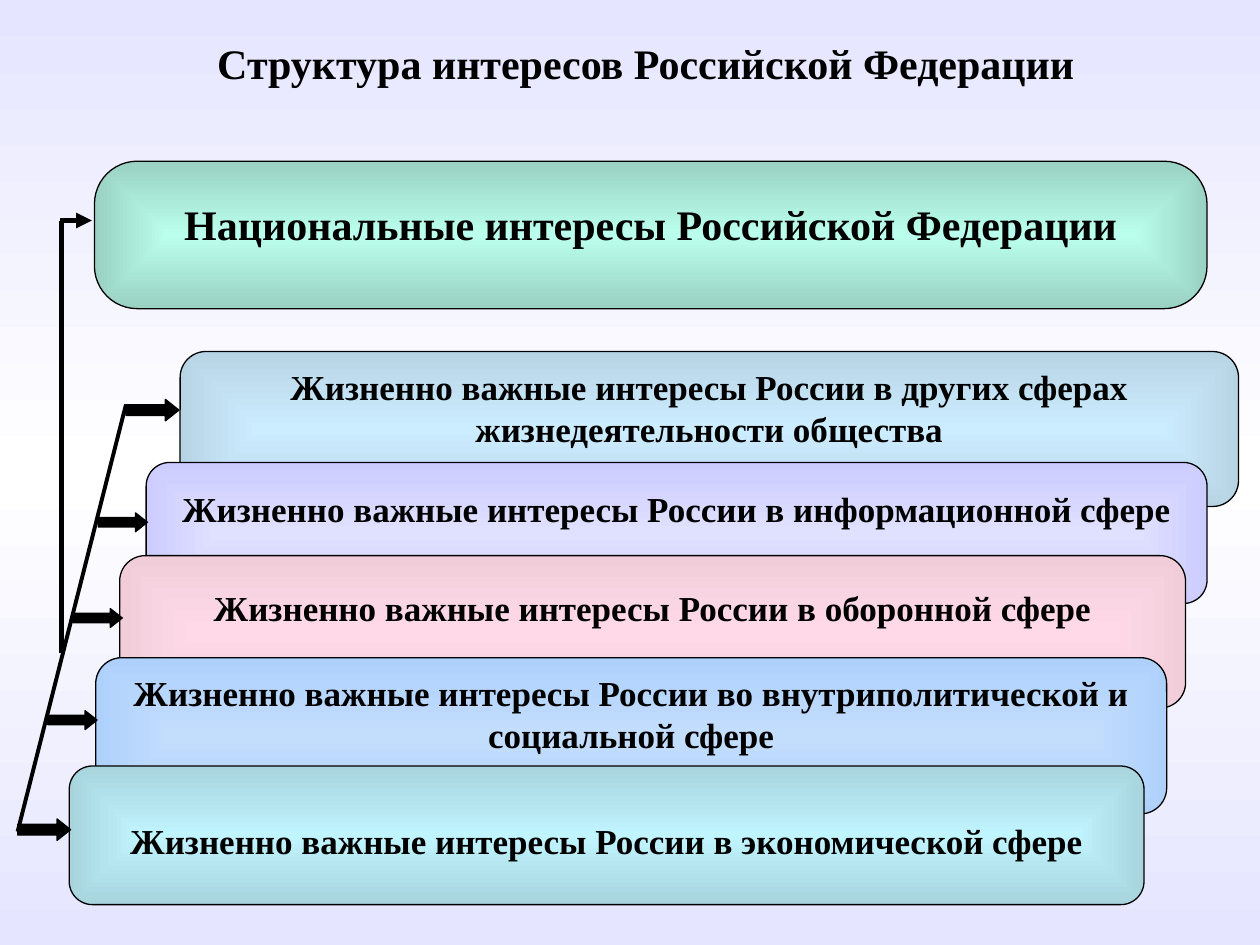
from lxml import etree
from pptx import Presentation
from pptx.dml.color import RGBColor
from pptx.enum import shapes, text
from pptx.oxml import ns
from pptx.util import Inches, Pt

FONT = "Times New Roman"
BLACK = "000000"
TITLE = "Структура интересов Российской Федерации"
MAIN = "Национальные интересы Российской Федерации"
LEAD = "Жизненно важные интересы России "
TOP, MID = text.MSO_ANCHOR.TOP, text.MSO_ANCHOR.MIDDLE

CARDS = [
    (MAIN, (0.75, 1.28, 8.83, 1.17), "BBFFED", "99D1C2", 0.29, TOP, (0.2, 0.29), 24),
    (LEAD + "в других сферах жизнедеятельности общества",
     (1.43, 2.79, 8.4, 1.23), "CCECFF", "B7D4E5", 0.167, TOP, (0.05, 0.43), 20),
    (LEAD + "в информационной сфере",
     (1.16, 3.67, 8.42, 1.12), "E0E0FF", "CCCCFF", 0.167, MID, (0.05, 0.44), 20),
    (LEAD + "в оборонной сфере",
     (0.95, 4.41, 8.46, 1.21), "FFD9E7", "F1CDDA", 0.167, MID, (0.05, 0.44), 20),
    (LEAD + "во внутриполитической и социальной сфере",
     (0.76, 5.22, 8.5, 1.24), "C3DDFD", "AED1FC", 0.167, TOP, (0.05, 0.44), 20),
    (LEAD + "в экономической сфере",
     (0.55, 6.08, 8.53, 1.1), "C0F4FE", "A7D4DD", 0.167, TOP, (0.37, 0.35), 20),
]
ARROWS = [
    (1, 3.17, 0.42, 0.17),
    (0.78, 4.07, 0.39, 0.15),
    (0.58, 4.83, 0.39, 0.15),
    (0.38, 5.64, 0.39, 0.15),
    (0.14, 6.5, 0.42, 0.17),
]
LINES = [
    ((0.49, 1.75, 0.49, 5.18), 3, False),
    ((0.48, 1.75, 0.73, 1.75), 3, True),
    ((1, 3.21, 0.14, 6.6), 2.25, False),
]


def inch(vals):
    return [Inches(v) for v in vals]


def color(code):
    return RGBColor.from_string(code)


def sub(node, tag, **attrs):
    return etree.SubElement(node, ns.qn("a:" + tag), attrs)


def grad(fill, root, stops, rect):
    fill.gradient()
    node = next(root.iter(ns.qn("a:gradFill")))
    for kid in list(node):
        node.remove(kid)
    band = sub(node, "gsLst")
    for n, code in enumerate(stops):
        pos = 100000 * n // (len(stops) - 1)
        sub(sub(band, "gs", pos=str(pos)), "srgbClr", val=code)
    if rect:
        sides = dict.fromkeys("ltrb", "50000")
        sub(sub(node, "path", path="rect"), "fillToRect", **sides)
    else:
        sub(node, "lin", ang="5400000", scaled="0")


def write(shape, words, size, anchor=TOP, pads=(0.05, 0.05)):
    frame = shape.text_frame
    frame.word_wrap = True
    frame.vertical_anchor = anchor
    frame.margin_left = frame.margin_right = Inches(0.1)
    frame.margin_top, frame.margin_bottom = inch(pads)
    frame.text = words
    para = frame.paragraphs[0]
    para.alignment = text.PP_ALIGN.CENTER
    font = para.runs[0].font
    font.name, font.size, font.bold = FONT, Pt(size), True
    font.color.rgb = color(BLACK)


def block(slide, kind, box, *adjs):
    shape = slide.shapes.add_shape(kind, *inch(box))
    shape.shadow.inherit = False
    for n, adj in enumerate(adjs):
        shape.adjustments[n] = adj
    shape.line.color.rgb = color(BLACK)
    shape.line.width = Pt(0.75)
    return shape


def link(slide, ends, width, head):
    line = slide.shapes.add_connector(shapes.MSO_CONNECTOR.STRAIGHT, *inch(ends))
    line.line.color.rgb = color(BLACK)
    line.line.width = Pt(width)
    if head:
        sub(line.line._get_or_add_ln(), "tailEnd", type="triangle")
    sub(line._element.spPr, "effectLst")


def main():
    deck = Presentation()
    deck.slide_width, deck.slide_height = inch((10, 7.5))
    slide = deck.slides.add_slide(deck.slide_layouts[6])
    grad(slide.background.fill, slide._element, ["E5E5FF", "FFFFFF", "E5E5FF"], False)
    write(slide.shapes.add_textbox(*inch((1.25, 0.25, 7.75, 0.5))), TITLE, 24)
    for words, box, core, edge, adj, anchor, pads, size in CARDS:
        card = block(slide, shapes.MSO_SHAPE.ROUNDED_RECTANGLE, box, adj)
        grad(card.fill, card._element, [core, edge], True)
        write(card, words, size, anchor, pads)
    for ends, width, head in LINES:
        link(slide, ends, width, head)
    for box in ARROWS:
        arrow = block(slide, shapes.MSO_SHAPE.RIGHT_ARROW, box, 0.5, 0.63)
        arrow.fill.solid()
        arrow.fill.fore_color.rgb = color(BLACK)
    deck.save("out.pptx")


if __name__ == "__main__":
    main()
